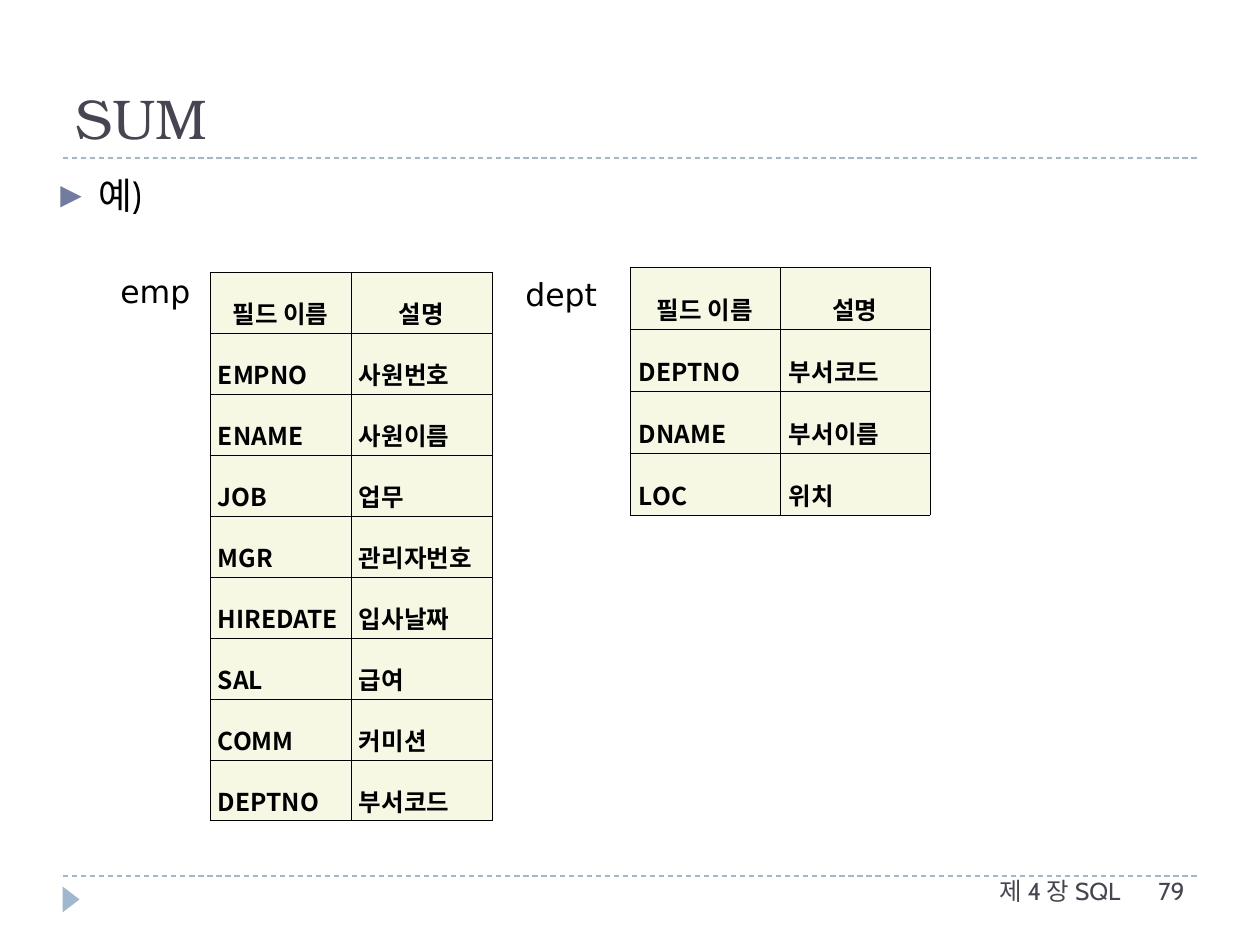
from dataclasses import dataclass

from lxml import etree
from pptx import Presentation
from pptx.dml.color import RGBColor
from pptx.enum.dml import MSO_LINE
from pptx.enum.shapes import MSO_CONNECTOR, MSO_SHAPE
from pptx.enum.text import MSO_ANCHOR, MSO_AUTO_SIZE, PP_ALIGN
from pptx.oxml.ns import qn
from pptx.util import Pt

DASH = MSO_LINE.DASH
STRAIGHT = MSO_CONNECTOR.STRAIGHT
TRIANGLE = MSO_SHAPE.ISOSCELES_TRIANGLE
TOP, MIDDLE, BOTTOM = MSO_ANCHOR.TOP, MSO_ANCHOR.MIDDLE, MSO_ANCHOR.BOTTOM
GROW = MSO_AUTO_SIZE.SHAPE_TO_FIT_TEXT
LEFT, CENTER, RIGHT, JUSTIFY = PP_ALIGN.LEFT, PP_ALIGN.CENTER, PP_ALIGN.RIGHT, PP_ALIGN.JUSTIFY

EMU_PER_PX = 914400 // 126


@dataclass(frozen=True)
class Theme:
    ink: str = "000000"
    heading: str = "464653"
    rule: str = "9FB8CD"
    bullet: str = "727CA3"
    cell: str = "F6F8E4"
    title_font: str = "TeX Gyre Bonum"
    body_font: str = "Cabin"
    label_font: str = "DejaVu Sans"
    korean_font: str = "Noto Sans CJK KR"
    title_size: int = 32
    body_size: int = 21
    label_size: int = 18
    small_size: int = 14
    rule_width: float = 0.75
    border_width: float = 0.28


THEME = Theme()

HEADER = ("필드 이름", "설명")
EMP_FIELDS = [
    HEADER,
    ("EMPNO", "사원번호"),
    ("ENAME", "사원이름"),
    ("JOB", "업무"),
    ("MGR", "관리자번호"),
    ("HIREDATE", "입사날짜"),
    ("SAL", "급여"),
    ("COMM", "커미션"),
    ("DEPTNO", "부서코드"),
]
DEPT_FIELDS = [
    HEADER,
    ("DEPTNO", "부서코드"),
    ("DNAME", "부서이름"),
    ("LOC", "위치"),
]


def px(n):
    return n * EMU_PER_PX


def rgb(color):
    return RGBColor.from_string(color)


def write(tf, text, *, font=THEME.body_font, size=THEME.small_size, color=THEME.ink,
          bold=False, align=LEFT, spacing=None, before=None):
    p = tf.paragraphs[0]
    p.alignment = align
    p.line_spacing = spacing
    p.space_before = before
    r = p.add_run()
    r.text = text
    r.font.name = font
    r.font.size = Pt(size)
    r.font.bold = bold
    r.font.color.rgb = rgb(color)
    ea = etree.SubElement(r.font._element, qn("a:ea"))
    ea.set("typeface", THEME.korean_font)
    return p


def add_text(s, box, text, *, anchor=TOP, wrap=True, **fmt):
    sp = s.shapes.add_textbox(*map(px, box))
    tf = sp.text_frame
    tf.word_wrap = wrap
    tf.vertical_anchor = anchor
    if not wrap:
        tf.auto_size = GROW
    return write(tf, text, **fmt)


def add_bullet(p, indent):
    pPr = p._p.get_or_add_pPr()
    pPr.set("marL", str(px(indent)))
    pPr.set("indent", str(-px(indent)))
    color = etree.SubElement(pPr, qn("a:buClr"))
    etree.SubElement(color, qn("a:srgbClr")).set("val", THEME.bullet)
    etree.SubElement(pPr, qn("a:buSzPct")).set("val", "76000")
    etree.SubElement(pPr, qn("a:buFont")).set("typeface", THEME.label_font)
    etree.SubElement(pPr, qn("a:buChar")).set("char", "▶")


def add_rule(s, y):
    line = s.shapes.add_connector(STRAIGHT, px(63), px(y), px(1197), px(y))
    line.line.color.rgb = rgb(THEME.rule)
    line.line.width = Pt(THEME.rule_width)
    line.line.dash_style = DASH
    etree.SubElement(line._element.spPr, qn("a:effectLst"))


def add_marker(s, box):
    sp = s.shapes.add_shape(TRIANGLE, *map(px, box))
    sp.rotation = 90
    sp.shadow.inherit = False
    sp.fill.solid()
    sp.fill.fore_color.rgb = rgb(THEME.rule)
    sp.line.fill.background()


def add_borders(cell):
    tcPr = cell._tc.get_or_add_tcPr()
    for i, side in enumerate(("lnL", "lnR", "lnT", "lnB")):
        ln = etree.Element(qn(f"a:{side}"), w=str(Pt(THEME.border_width)))
        fill = etree.SubElement(ln, qn("a:solidFill"))
        etree.SubElement(fill, qn("a:srgbClr")).set("val", THEME.ink)
        tcPr.insert(i, ln)


def add_field_table(s, left, top, col_width, row_height, side_inset, end_inset, fields):
    cols, rows = len(HEADER), len(fields)
    frame = s.shapes.add_table(rows, cols, px(left), px(top),
                               px(col_width * cols), px(row_height * rows))
    table = frame.table
    for i, field in enumerate(fields):
        for j, text in enumerate(field):
            cell = table.cell(i, j)
            cell.fill.solid()
            cell.fill.fore_color.rgb = rgb(THEME.cell)
            cell.vertical_anchor = MIDDLE
            cell.margin_left = cell.margin_right = px(side_inset)
            cell.margin_top = cell.margin_bottom = px(end_inset)
            add_borders(cell)
            write(cell.text_frame, text, font=THEME.korean_font, bold=True,
                  align=CENTER if i == 0 else JUSTIFY, spacing=1.6)


def main():
    prs = Presentation()
    prs.slide_width, prs.slide_height = px(1260), px(945)
    s = prs.slides.add_slide(prs.slide_layouts[6])

    for y in (876, 158):
        add_rule(s, y)
    add_marker(s, (58, 891, 26, 17))

    add_text(s, (63, 21, 1134, 136), "SUM", anchor=BOTTOM, font=THEME.title_font,
             size=THEME.title_size, color=THEME.heading)

    add_field_table(s, 210, 272, 141, 61, 8, 2, EMP_FIELDS)
    add_field_table(s, 630, 267, 150, 62, 9, 2, DEPT_FIELDS)

    for text, box in (("emp", (108, 266, 96, 51)), ("dept", (513, 269, 97, 51))):
        add_text(s, box, text, wrap=False, font=THEME.label_font, size=THEME.label_size)

    example = add_text(s, (48, 167, 1212, 570), "예)", size=THEME.body_size, before=Pt(6))
    add_bullet(example, 38)

    add_text(s, (654, 870, 479, 51), "제 4 장 SQL", color=THEME.heading, align=RIGHT)
    add_text(s, (1146, 870, 90, 51), "79", color=THEME.heading)

    prs.save("out.pptx")


if __name__ == "__main__":
    main()
